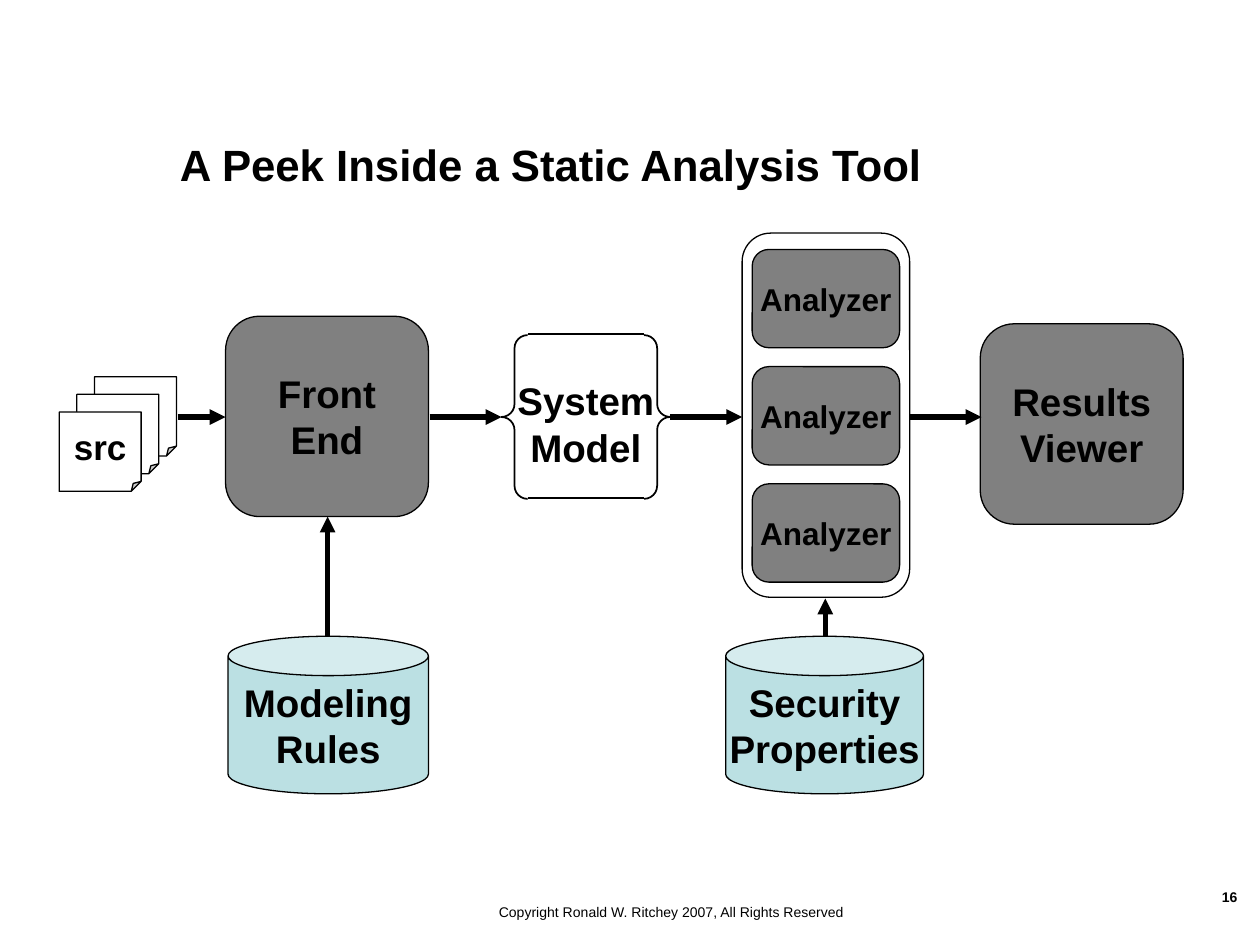
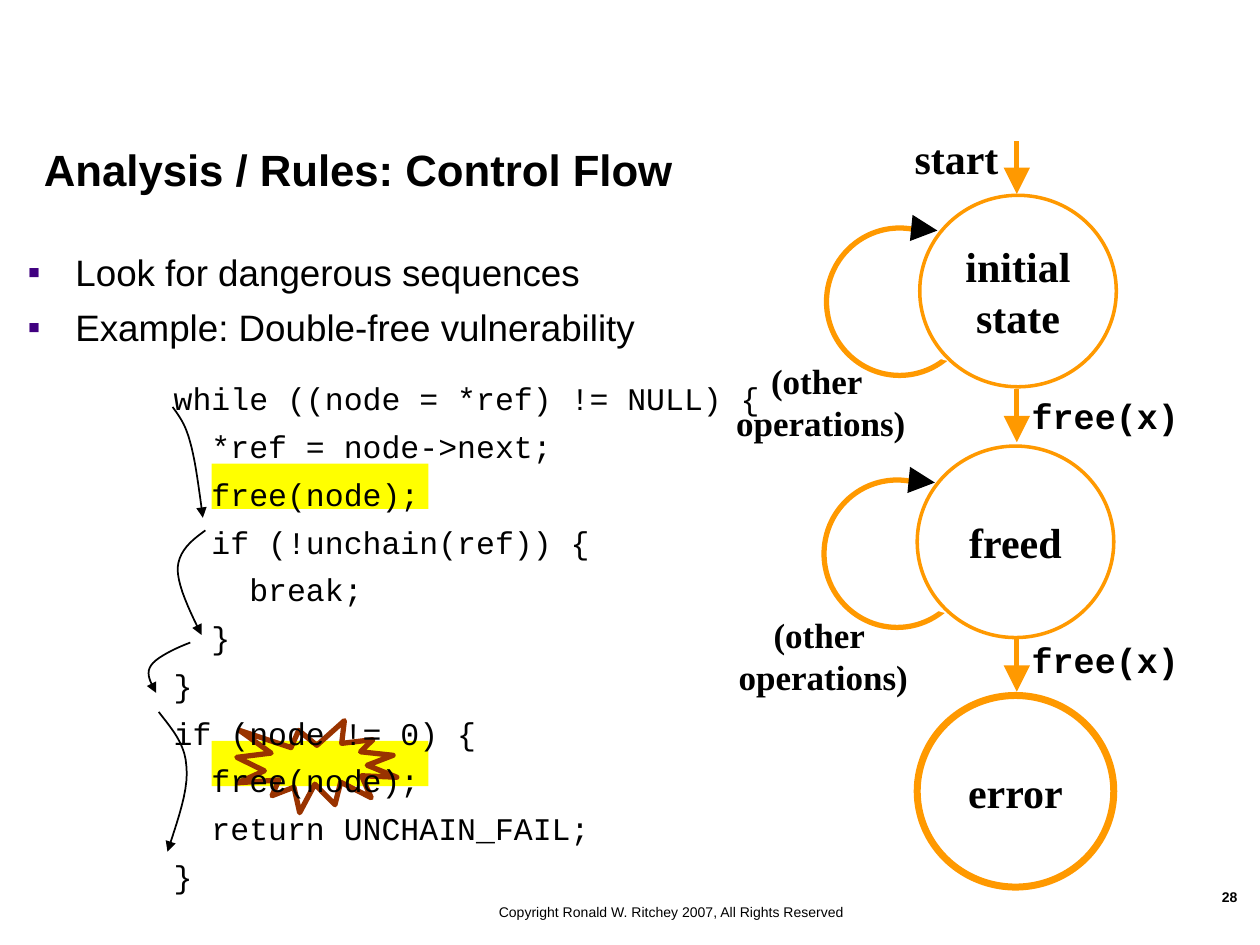
from dataclasses import dataclass
from typing import Optional

import pptx
import pptx.dml.color
import pptx.enum.shapes
import pptx.enum.text
import pptx.oxml.ns
import pptx.util
from lxml import etree
from pptx.util import Inches

SHAPE = pptx.enum.shapes.MSO_SHAPE
ALIGN = pptx.enum.text.PP_ALIGN
ANCHOR = pptx.enum.text.MSO_ANCHOR
qn = pptx.oxml.ns.qn


@dataclass(frozen=True)
class TextStyle:
    size: float
    font: str = "Arial"
    bold: bool = True


@dataclass(frozen=True)
class Theme:
    black: str = "000000"
    white: str = "FFFFFF"
    gray: str = "808080"
    teal: str = "BBE0E3"
    orange: str = "FF9900"
    yellow: str = "FFFF00"
    brown: str = "993300"
    purple: str = "400080"
    title: TextStyle = TextStyle(25)
    body: TextStyle = TextStyle(21, bold=False)
    node: TextStyle = TextStyle(22)
    source: TextStyle = TextStyle(20)
    analyzer: TextStyle = TextStyle(18)
    state: TextStyle = TextStyle(24, "Times New Roman")
    loop: TextStyle = TextStyle(20, "Times New Roman")
    call: TextStyle = TextStyle(20, "Courier New")
    code: TextStyle = TextStyle(18, "Courier New", False)
    footer: TextStyle = TextStyle(8, bold=False)
    number: TextStyle = TextStyle(8)


THEME = Theme()


@dataclass(frozen=True)
class Area:
    left: float
    top: float
    width: float
    height: float

    def lengths(self) -> list:
        return [Inches(v) for v in (self.left, self.top, self.width, self.height)]


@dataclass(frozen=True)
class Node:
    kind: int
    area: Area
    lines: tuple = ()
    style: TextStyle = THEME.node
    fill: Optional[str] = THEME.white
    line: Optional[str] = THEME.black
    weight: float = 0.75
    adjust: Optional[float] = None
    align: int = ALIGN.CENTER
    anchor: int = ANCHOR.MIDDLE
    wrap: bool = False


@dataclass(frozen=True)
class Arrow:
    start: tuple
    end: tuple
    color: str = THEME.black
    weight: float = 3
    head: Optional[str] = "med"


def rgb(color: str):
    return pptx.dml.color.RGBColor.from_string(color)


# Shared drawing functions
def write_text(frame, lines, style: TextStyle, align=ALIGN.LEFT,
               anchor=ANCHOR.TOP, wrap=True, gap=0.0, bullet=None) -> None:
    frame.word_wrap = wrap
    frame.vertical_anchor = anchor
    for index, line in enumerate(lines):
        para = frame.paragraphs[0] if index == 0 else frame.add_paragraph()
        para.alignment = align
        if index and gap:
            para.space_before = pptx.util.Pt(gap)
        if bullet:
            add_bullet(para, bullet)
        for part_index, part in enumerate(line.split("\n")):
            if part_index:
                para.add_line_break()
            span = para.add_run()
            span.text = part
            span.font.size = pptx.util.Pt(style.size)
            span.font.name = style.font
            span.font.bold = style.bold
            span.font.color.rgb = rgb(THEME.black)


def add_bullet(para, mark: str) -> None:
    props = para._p.get_or_add_pPr()
    props.set("marL", str(Inches(0.38)))
    props.set("indent", str(-Inches(0.38)))
    color = etree.SubElement(props, qn("a:buClr"))
    etree.SubElement(color, qn("a:srgbClr"), val=THEME.purple)
    etree.SubElement(props, qn("a:buFont"), typeface="Arial")
    etree.SubElement(props, qn("a:buChar"), char=mark)


def add_label(slide, area: Area, lines, style: TextStyle, **options):
    box = slide.shapes.add_textbox(*area.lengths())
    write_text(box.text_frame, lines, style, **options)
    return box


def set_line(line, color: str, weight: float) -> None:
    line.color.rgb = rgb(color)
    line.width = pptx.util.Pt(weight)


def add_head(line, size: str) -> None:
    etree.SubElement(line._get_or_add_ln(), qn("a:tailEnd"),
                     type="triangle", w=size, len=size)


def set_adjust(shape, value: float) -> None:
    geometry = shape._element.spPr.find(qn("a:prstGeom"))
    for guides in geometry.findall(qn("a:avLst")):
        geometry.remove(guides)
    guides = etree.SubElement(geometry, qn("a:avLst"))
    etree.SubElement(guides, qn("a:gd"), name="adj",
                     fmla=f"val {round(value * 100000)}")


def add_node(slide, node: Node) -> None:
    shape = slide.shapes.add_shape(node.kind, *node.area.lengths())
    shape.shadow.inherit = False
    if node.adjust is not None:
        set_adjust(shape, node.adjust)
    if node.fill:
        shape.fill.solid()
        shape.fill.fore_color.rgb = rgb(node.fill)
    else:
        shape.fill.background()
    if node.line:
        set_line(shape.line, node.line, node.weight)
    else:
        shape.line.fill.background()
    if node.lines:
        write_text(shape.text_frame, node.lines, node.style, node.align,
                   node.anchor, node.wrap)


def add_arrow(slide, arrow: Arrow) -> None:
    ends = [Inches(v) for v in (*arrow.start, *arrow.end)]
    link = slide.shapes.add_connector(
        pptx.enum.shapes.MSO_CONNECTOR.STRAIGHT, *ends)
    set_line(link.line, arrow.color, arrow.weight)
    if arrow.head:
        add_head(link.line, arrow.head)
    etree.SubElement(link._element.spPr, qn("a:effectLst"))


def bezier(points, t: float) -> tuple:
    weights = ((1 - t) ** 3, 3 * t * (1 - t) ** 2, 3 * t * t * (1 - t), t ** 3)
    return tuple(Inches(sum(w * p[axis] for w, p in zip(weights, points)))
                 for axis in (0, 1))


def add_flow_curve(slide, points, steps: int = 10) -> None:
    """Draw joined cubic curves; each takes three points after its start."""
    vertices = [bezier(points[first:first + 4], step / steps)
                for first in range(0, len(points) - 1, 3)
                for step in range(1, steps + 1)]
    builder = slide.shapes.build_freeform(*bezier(points[:4], 0), scale=1.0)
    builder.add_line_segments(vertices, close=False)
    curve = builder.convert_to_shape()
    curve.shadow.inherit = False
    curve.fill.background()
    set_line(curve.line, THEME.black, 1)
    add_head(curve.line, "med")


def start_slide(deck, title: str, title_area: Area, number: str):
    slide = deck.slides.add_slide(deck.slide_layouts[6])
    add_label(slide, Area(2.89, 7.12, 4.88, 0.29),
              ["Copyright Ronald W. Ritchey 2007, All Rights Reserved"],
              THEME.footer, align=ALIGN.CENTER)
    add_label(slide, Area(8.92, 7, 1, 0.42), [number], THEME.number,
              align=ALIGN.RIGHT)
    add_label(slide, title_area, [title], THEME.title, anchor=ANCHOR.BOTTOM)
    return slide


# Slide 16: tool pipeline
def build_pipeline(deck) -> None:
    slide = start_slide(deck, "A Peek Inside a Static Analysis Tool",
                        Area(1.33, 0.92, 7.92, 0.64), "16")

    # Rule stores and processing stages
    for left, width, lines in ((1.81, 1.59, ("Modeling", "Rules")),
                               (5.76, 1.57, ("Security", "Properties"))):
        add_node(slide, Node(SHAPE.CAN, Area(left, 5.05, width, 1.25), lines,
                             fill=THEME.teal, adjust=0.25))
    for left, top, lines in ((1.79, 2.51, ("Front", "End")),
                             (7.78, 2.57, ("Results", "Viewer"))):
        add_node(slide, Node(SHAPE.ROUNDED_RECTANGLE, Area(left, top, 1.61, 1.59),
                             lines, fill=THEME.gray, adjust=0.17))

    # Stack of source files, front sheet last
    for depth in (2, 1, 0):
        add_node(slide, Node(SHAPE.FOLDED_CORNER,
                             Area(0.47 + 0.14 * depth, 3.27 - 0.14 * depth, 0.65, 0.63),
                             () if depth else ("src",), THEME.source, adjust=0.125))

    # System model, closed above and below
    add_node(slide, Node(SHAPE.DOUBLE_BRACE, Area(3.98, 2.66, 1.34, 1.3),
                         ("System", "Model"), weight=1, adjust=0.08))
    for y in (2.65, 3.95):
        add_arrow(slide, Arrow((4.19, y), (5.11, y), weight=1, head=None))

    # Analyzers in their frame
    add_node(slide, Node(SHAPE.ROUNDED_RECTANGLE, Area(5.89, 1.85, 1.33, 2.89),
                         adjust=0.17))
    for row in range(3):
        add_node(slide, Node(SHAPE.ROUNDED_RECTANGLE,
                             Area(5.97, 1.98 + 0.93 * row, 1.17, 0.78),
                             ("Analyzer",), THEME.analyzer, THEME.gray, adjust=0.17))

    # Data flow
    for left, right in ((1.41, 1.79), (3.41, 3.98), (5.32, 5.89), (7.22, 7.79)):
        add_arrow(slide, Arrow((left, 3.31), (right, 3.31)))
    for x, top in ((2.6, 4.1), (6.55, 4.75)):
        add_arrow(slide, Arrow((x, 5.05), (x, top)))


# Slide 28: control flow rules
CODE = """while ((node = *ref) != NULL) {
  *ref = node->next;
  free(node);
  if (!unchain(ref)) {
    break;
  }
}
if (node != 0) {
  free(node);
  return UNCHAIN_FAIL;
}"""

FLOW_CURVES = (
    ((1.37, 3.23), (1.42, 3.3), (1.47, 3.36), (1.51, 3.51),
     (1.55, 3.65), (1.58, 3.88), (1.61, 4.11)),
    ((1.63, 4.21), (1.52, 4.29), (1.42, 4.37), (1.41, 4.51),
     (1.41, 4.65), (1.5, 4.84), (1.6, 5.04)),
    ((1.51, 5.1), (1.38, 5.15), (1.24, 5.22), (1.2, 5.28),
     (1.15, 5.35), (1.2, 5.42), (1.24, 5.5)),
    ((1.26, 5.65), (1.36, 5.78), (1.47, 5.9), (1.48, 6.08),
     (1.5, 6.27), (1.41, 6.51), (1.33, 6.76)),
)


def add_self_loop(slide, left: float, top: float) -> None:
    """Ring cut open by a white disc, with an arrowhead into the state."""
    add_node(slide, Node(SHAPE.OVAL, Area(left, top, 1.16, 1.17),
                         line=THEME.orange, weight=3))
    add_node(slide, Node(SHAPE.OVAL, Area(left + 0.51, top - 0.1, 1.16, 1.17),
                         line=None))
    add_arrow(slide, Arrow((left + 0.68, top), (left + 0.88, top + 0.02), head="lg"))


def build_control_flow(deck) -> None:
    slide = start_slide(deck, "Analysis / Rules: Control Flow",
                        Area(0.25, 0.18, 9.75, 1.42), "28")
    add_label(slide, Area(0.12, 1.93, 9.75, 5.18),
              ["Look for dangerous sequences", "Example: Double-free vulnerability"],
              THEME.body, gap=6.2, bullet="▪")

    # State machine
    for left, top in ((6.54, 3.81), (6.56, 1.81)):
        add_self_loop(slide, left, top)
    for top in (5.02, 3.08):
        add_node(slide, Node(SHAPE.RECTANGLE, Area(8.09, top, 1.47, 0.57),
                             ("free(x)",), THEME.call, line=None,
                             align=ALIGN.LEFT, anchor=ANCHOR.TOP, wrap=True))
    for left, top, lines, fill, weight in (
            (7.3, 1.55, ("initial", "state"), None, 2),
            (7.28, 3.54, ("freed",), THEME.white, 2),
            (7.28, 5.52, ("error",), THEME.white, 4)):
        add_node(slide, Node(SHAPE.OVAL, Area(left, top, 1.56, 1.52), lines,
                             THEME.state, fill, THEME.orange, weight, wrap=True))
    add_label(slide, Area(7.16, 1, 0.92, 0.64), ["start"], THEME.state)
    for left, top in ((5.3, 2.8), (5.32, 4.82)):
        add_label(slide, Area(left, top, 2.43, 0.95), ["(other \noperations)"],
                  THEME.loop, align=ALIGN.CENTER)
    for top in (1.12, 3.09, 5.07):
        add_arrow(slide, Arrow((8.07, top), (8.07, top + 0.42), THEME.orange, head="lg"))

    # Code with its execution path and the double free
    for top in (3.68, 5.88):
        add_node(slide, Node(SHAPE.RECTANGLE, Area(1.68, top, 1.72, 0.36),
                             fill=THEME.yellow, line=None))
    for points in FLOW_CURVES:
        add_flow_curve(slide, points)
    add_node(slide, Node(SHAPE.EXPLOSION1, Area(1.88, 5.72, 1.27, 0.73),
                         fill=None, line=THEME.brown, weight=3))
    listing = add_label(slide, Area(1.28, 2.9, 4.85, 4.33), CODE.split("\n"),
                        THEME.code, wrap=False, gap=5.7)
    listing.text_frame.margin_top = Inches(0.11)


def main() -> None:
    deck = pptx.Presentation()
    deck.slide_width, deck.slide_height = Inches(10), Inches(7.5)
    build_pipeline(deck)
    build_control_flow(deck)
    deck.save("out.pptx")


if __name__ == "__main__":
    main()
